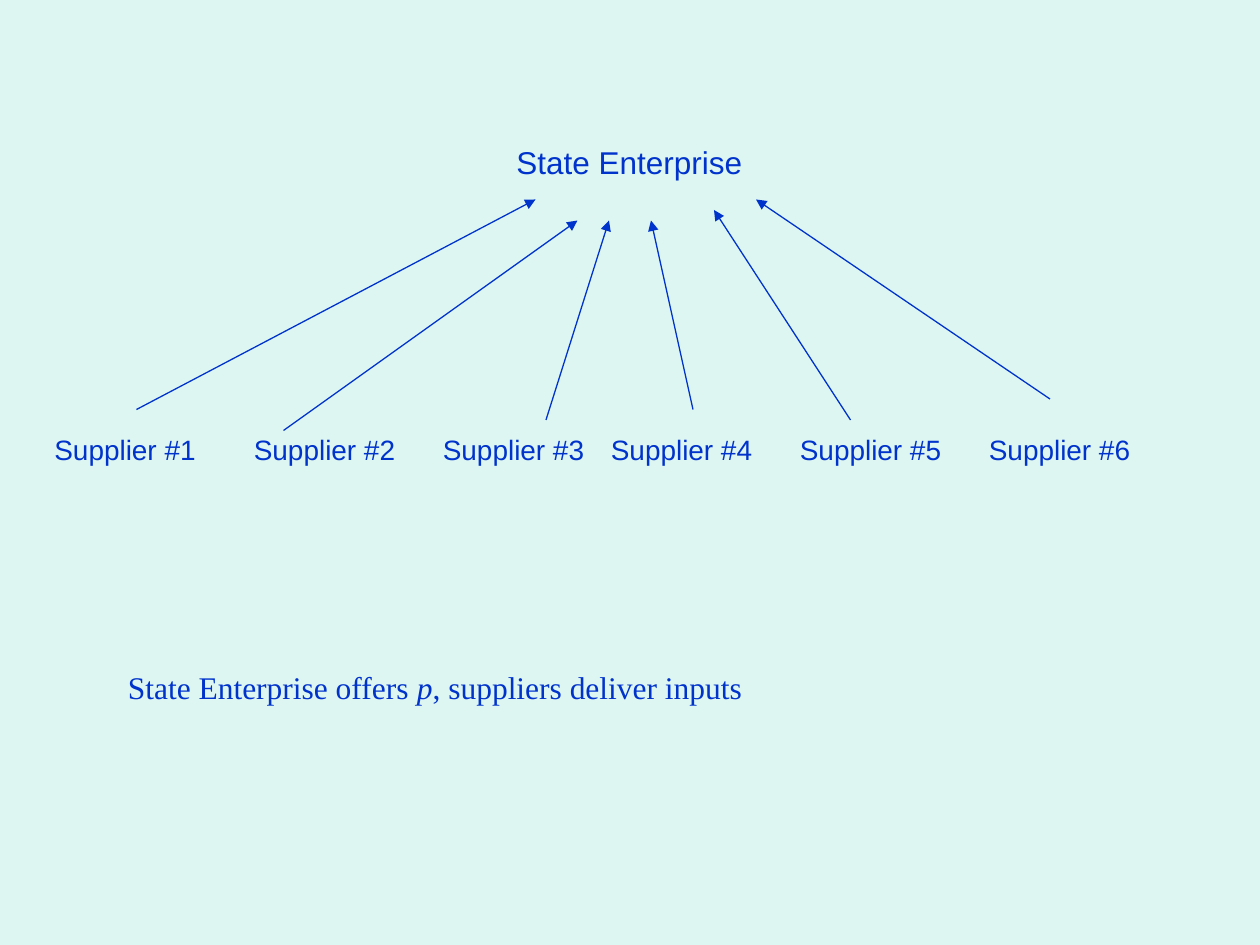
"""Build a slide showing six suppliers delivering to a state enterprise."""
from pptx import Presentation
from pptx import util as u
from pptx.dml import color
from pptx.enum import shapes
from pptx.oxml import ns, xmlchemy

COLORS = {"background": "DEF6F1", "ink": "0033CC"}
SUPPLIERS = [
    (0, (54, 156), (282, 36)),
    (114, (138, 168), (306, 48)),
    (222, (288, 162), (324, 48)),
    (318, (372, 156), (348, 48)),
    (426, (462, 162), (384, 42)),
    (534, (576, 150), (408, 36)),
]


def rgb(name):
    """Return the named colour."""
    return color.RGBColor.from_string(COLORS[name])


def add_label(slide, box, parts, size, font):
    """Add a text box whose parts are pairs of wording and italic flag."""
    shape = slide.shapes.add_textbox(*map(u.Pt, box))
    shape.text_frame.word_wrap = True
    paragraph = shape.text_frame.paragraphs[0]
    for wording, italic in parts:
        run = paragraph.add_run()
        run.text = wording
        run.font.name = font
        run.font.size = u.Pt(size)
        run.font.italic = italic
        run.font.color.rgb = rgb("ink")


def add_arrow(slide, start, end):
    """Add a thin line with a triangle at its end."""
    points = [u.Pt(value) for value in (*start, *end)]
    connector = slide.shapes.add_connector(shapes.MSO_CONNECTOR.STRAIGHT, *points)
    connector.line.color.rgb = rgb("ink")
    connector.line.width = u.Pt(0.75)
    head = xmlchemy.OxmlElement("a:tailEnd")
    head.set("type", "triangle")
    connector.line._get_or_add_ln().append(head)
    properties = connector._element.find(ns.qn("p:spPr"))
    properties.append(xmlchemy.OxmlElement("a:effectLst"))


def add_supply_diagram(slide, left, top):
    """Place the enterprise above its suppliers and join them with arrows."""
    add_label(slide, (left + 264, top, 144, 28.8),
              [("State Enterprise", False)], 18, "Arial")
    for number, (offset, start, end) in enumerate(SUPPLIERS, 1):
        add_label(slide, (left + offset, top + 165.4, 96, 26.6),
                  [(f"Supplier #{number}", False)], 16, "Arial")
        add_arrow(slide, (left + start[0], top + start[1]),
                  (left + end[0], top + end[1]))


def add_explanation(slide, left, top, width, height):
    """Place the sentence that explains the diagram."""
    parts = [("State Enterprise offers ", False), ("p", True),
             (", suppliers deliver inputs", False)]
    add_label(slide, (left, top, width, height), parts, 18, "Times New Roman")


def main():
    """Build and save the presentation."""
    presentation = Presentation()
    presentation.slide_width = u.Pt(720)
    presentation.slide_height = u.Pt(540)
    slide = presentation.slides.add_slide(presentation.slide_layouts[6])
    slide.background.fill.solid()
    slide.background.fill.fore_color.rgb = rgb("background")
    add_supply_diagram(slide, 24, 78)
    add_explanation(slide, 66, 378, 432, 50.4)
    presentation.save("out.pptx")


if __name__ == "__main__":
    main()
